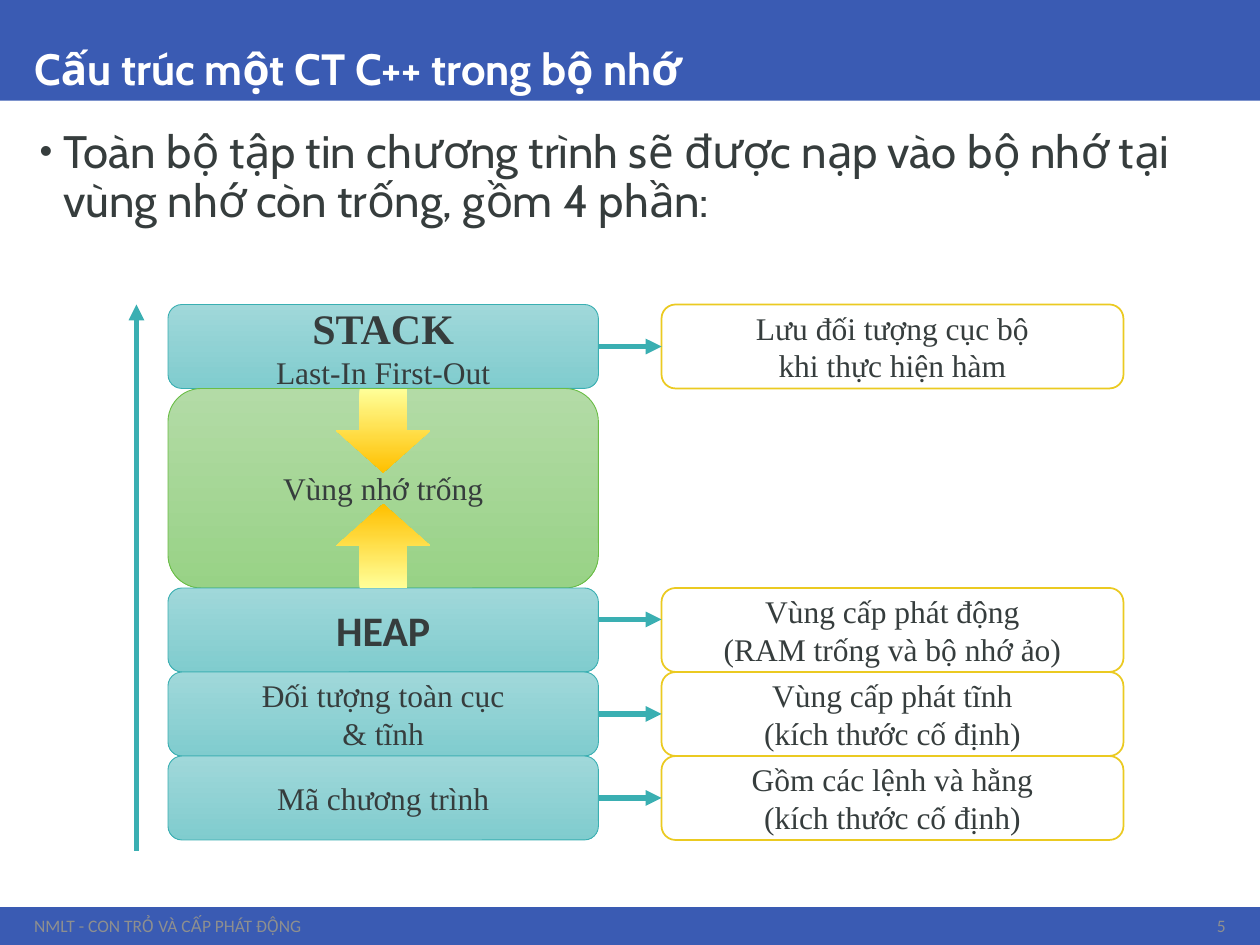
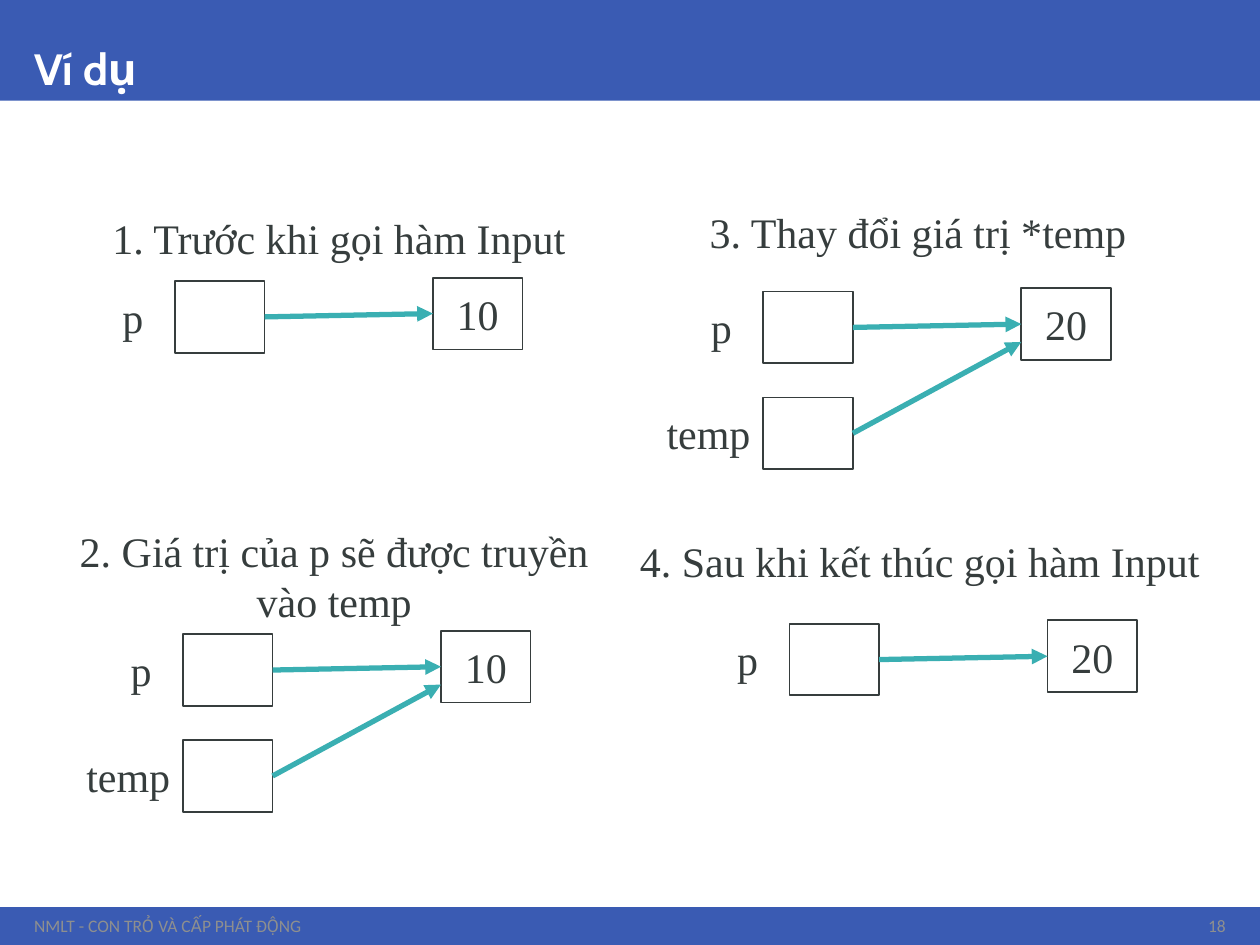
from lxml.etree import SubElement
from pptx import Presentation
from pptx.dml.color import RGBColor
from pptx.enum.shapes import MSO_CONNECTOR, MSO_SHAPE
from pptx.enum.text import MSO_ANCHOR, PP_ALIGN
from pptx.oxml.ns import qn
from pptx.util import Pt

BLUE, TEAL, GREEN, GOLD = "3A5BB3", "3AAFB2", "6ABD45", "EBCA21"
INK, GRAY, WHITE = "363D3D", "8E8F8F", "FFFFFF"
TEAL_FADE, GREEN_FADE, YELLOW_FADE = ("A0D8DA", "80CCCE"), ("B3DBA6", "98D286"), ("FFFF99", "FFC000")
SERIF, HEAD, SANS, ACCENT = "Times New Roman", "Cabin", "Calibri", "Roboto"
WIDTH, HEIGHT = 720, 540
MARGIN, TITLE_H, FOOTER_Y, FOOTER_H = 16, 57.6, 518.4, 21.6
RIGHT, BOTTOM, LEFT = 3, 2, 1


def color(hex_string):
    return RGBColor.from_string(hex_string)


def write(shape, paragraphs, ink=INK, align=PP_ALIGN.CENTER, anchor=MSO_ANCHOR.MIDDLE, inset=0):
    """Each paragraph is a list of runs: (text, size, font, bold)."""
    tf = shape.text_frame
    tf.word_wrap = True
    tf.vertical_anchor = anchor
    tf.margin_left = tf.margin_right = Pt(3.6)
    tf.margin_top = tf.margin_bottom = Pt(inset)
    for i, runs in enumerate(paragraphs):
        p = tf.add_paragraph() if i else tf.paragraphs[0]
        p.alignment = align
        for text, size, font, bold in runs:
            r = p.add_run()
            r.text = text
            r.font.size, r.font.name, r.font.bold = Pt(size), font, bold
            r.font.color.rgb = color(ink)
    return tf


def add_text(s, box, paragraphs, **style):
    tb = s.shapes.add_textbox(*map(Pt, box))
    return write(tb, paragraphs, **style)


def add_box(s, kind, box, fill=None, line=None, line_width=1.0, angle=270):
    """A pair of colours as fill makes a gradient."""
    sp = s.shapes.add_shape(kind, *map(Pt, box))
    sp.shadow.inherit = False
    if fill is None:
        sp.fill.background()
    elif isinstance(fill, tuple):
        sp.fill.gradient()
        sp.fill.gradient_angle = angle
        for stop, shade in zip(sp.fill.gradient_stops, fill):
            stop.color.rgb = color(shade)
    else:
        sp.fill.solid()
        sp.fill.fore_color.rgb = color(fill)
    if line:
        sp.line.color.rgb = color(line)
        sp.line.width = Pt(line_width)
    else:
        sp.line.fill.background()
    return sp


def add_arrow(s, start, end, source=None, target=None):
    """Joins the right side of source to the left side of target, where given."""
    c = s.shapes.add_connector(MSO_CONNECTOR.STRAIGHT, *map(Pt, (*start, *end)))
    if source is not None:
        c.begin_connect(source, RIGHT)
    if target is not None:
        c.end_connect(target, LEFT)
    c.line.color.rgb = color(TEAL)
    c.line.width = Pt(3)
    SubElement(c.line._get_or_add_ln(), qn("a:tailEnd"), type="triangle")
    SubElement(c._element.spPr, qn("a:effectLst"))


def add_frame(prs, title, number):
    """Blank slide with title band and footer band."""
    s = prs.slides.add_slide(prs.slide_layouts[6])
    add_box(s, MSO_SHAPE.RECTANGLE, (0, 0, WIDTH, TITLE_H), BLUE)
    add_box(s, MSO_SHAPE.RECTANGLE, (0, FOOTER_Y, WIDTH, FOOTER_H), BLUE)

    tf = add_text(s, (MARGIN, 0, WIDTH - 2 * MARGIN, TITLE_H), [[(title, 25, HEAD, True)]],
                  ink=WHITE, align=PP_ALIGN.LEFT, anchor=MSO_ANCHOR.BOTTOM, inset=3.6)
    tf.paragraphs[0].line_spacing = 0.9

    footer = [("NMLT - CON TR", SANS), ("Ỏ ", ACCENT), ("VÀ C", SANS), ("Ấ", ACCENT),
              ("P PHÁT Đ", SANS), ("Ộ", ACCENT), ("NG", SANS)]
    add_text(s, (MARGIN, FOOTER_Y + 0.6, 595, 20), [[(text, 10, font, False) for text, font in footer]],
             ink=GRAY, align=PP_ALIGN.LEFT)
    add_text(s, (WIDTH - MARGIN - 60, FOOTER_Y + 0.6, 60, 20), [[(str(number), 10, SANS, False)]],
             ink=GRAY, align=PP_ALIGN.RIGHT)
    return s


def add_bullet(s, box, text):
    tf = add_text(s, box, [[(text, 26, HEAD, False)]],
                  align=PP_ALIGN.LEFT, anchor=MSO_ANCHOR.TOP, inset=3.6)
    p = tf.paragraphs[0]
    pPr = p._p.get_or_add_pPr()
    pPr.set("marL", str(Pt(16.5)))
    pPr.set("indent", str(Pt(-13.5)))
    SubElement(pPr, qn("a:buSzPct"), val="80000")
    SubElement(pPr, qn("a:buFont"), typeface="Arial")
    SubElement(pPr, qn("a:buChar"), char="•")
    p.line_spacing = 0.9


def serif_lines(*lines, size=18):
    return [[(line, size, SERIF, False)] for line in lines]


def add_memory_map(s, box):
    """Memory regions on the left, their notes on the right, address axis at the edge."""
    x, y, w, h = box
    row_h, free_h = 48, 114
    region_x, region_w = x + 18, 246
    note_w = 264
    note_x = x + w - note_w
    fixed = "(kích thước cố định)"
    # region text, note text, drop of the arrow from the row's middle
    rows = [
        ([[("STACK", 24, SERIF, True)], *serif_lines("Last-In First-Out")],
         ("Lưu đối tượng cục bộ", "khi thực hiện hàm"), 0),
        (serif_lines("Vùng nhớ trống"), None, 0),
        ([[("HEAP", 24, SANS, True)]], ("Vùng cấp phát động", "(RAM trống và bộ nhớ ảo)"), -6),
        (serif_lines("Đối tượng toàn cục", "& tĩnh"), ("Vùng cấp phát tĩnh", fixed), 0),
        (serif_lines("Mã chương trình"), ("Gồm các lệnh và hằng", fixed), 0),
    ]

    add_arrow(s, (x, y + h), (x, y))
    top = y
    for label, note, drop in rows:
        height = row_h if note else free_h
        fill, line = (TEAL_FADE, TEAL) if note else (GREEN_FADE, GREEN)
        region = add_box(s, MSO_SHAPE.ROUNDED_RECTANGLE, (region_x, top, region_w, height), fill, line, 0.5)
        write(region, label)
        if note:
            note_box = add_box(s, MSO_SHAPE.ROUNDED_RECTANGLE, (note_x, top, note_w, row_h), WHITE, GOLD)
            write(note_box, serif_lines(*note))
            middle = top + row_h / 2 + drop
            ends = (None, None) if drop else (region, note_box)
            add_arrow(s, (region_x + region_w, middle), (note_x, middle), *ends)
        top += height

    # Stack and heap grow into the free memory
    grow_w = 54
    grow_x = region_x + (region_w - grow_w) / 2
    free_y = y + row_h
    add_box(s, MSO_SHAPE.DOWN_ARROW, (grow_x, free_y, grow_w, row_h), YELLOW_FADE)
    add_box(s, MSO_SHAPE.UP_ARROW, (grow_x, free_y + free_h - row_h, grow_w, row_h), YELLOW_FADE, angle=90)


def add_pointer_panel(s, title, title_box, x, y, value, has_temp):
    """Pointer cells at (x, y), pointing to the value cell on their right."""
    cell_w, cell_h = 51.2, 41
    value_x, value_y = x + 147.4, y - 1.9
    add_text(s, title_box, serif_lines(title, size=24))

    value_cell = add_box(s, MSO_SHAPE.RECTANGLE, (value_x, value_y, cell_w, cell_h), line=INK)
    write(value_cell, serif_lines(value, size=24))

    pointers = [("p", 48, 0)] + ([("temp", 62.6, 60.5)] if has_temp else [])
    for name, label_w, drop in pointers:
        cell = add_box(s, MSO_SHAPE.RECTANGLE, (x, y + drop, cell_w, cell_h), line=INK)
        add_text(s, (x - label_w, y + drop + 3.6, label_w, 33), serif_lines(name, size=24))
        # The second arrow ends below the middle of the value cell
        end = (value_x, value_y + (30.7 if drop else cell_h / 2))
        add_arrow(s, (x + cell_w, y + drop + cell_h / 2), end, cell, None if drop else value_cell)


def build_memory_slide(prs):
    s = add_frame(prs, "Cấu trúc một CT C++ trong bộ nhớ", 5)
    add_bullet(s, (MARGIN, 70.5, WIDTH - 2 * MARGIN, 90),
               "Toàn bộ tập tin chương trình sẽ được nạp vào bộ nhớ tại vùng nhớ còn trống, gồm 4 phần:")
    add_memory_map(s, (78, 174, 564, 312))


def build_example_slide(prs):
    s = add_frame(prs, "Ví dụ", 18)
    panels = [
        ("1. Trước khi gọi hàm Input", (13.7, 119.5, 360, 33), 100, 160.6, "10", False),
        ("2. Giá trị của p sẽ được truyền vào temp", (31, 299, 320, 60), 104.6, 362.4, "10", True),
        ("3. Thay đổi giá trị *temp", (344.6, 116, 360, 33), 436.2, 166.6, "20", True),
        ("4. Sau khi kết thúc gọi hàm Input", (345.6, 304, 360, 33), 451.2, 356.4, "20", False),
    ]
    for panel in panels:
        add_pointer_panel(s, *panel)


def main():
    prs = Presentation()
    prs.slide_width, prs.slide_height = Pt(WIDTH), Pt(HEIGHT)
    build_memory_slide(prs)
    build_example_slide(prs)
    prs.save("out.pptx")


if __name__ == "__main__":
    main()
